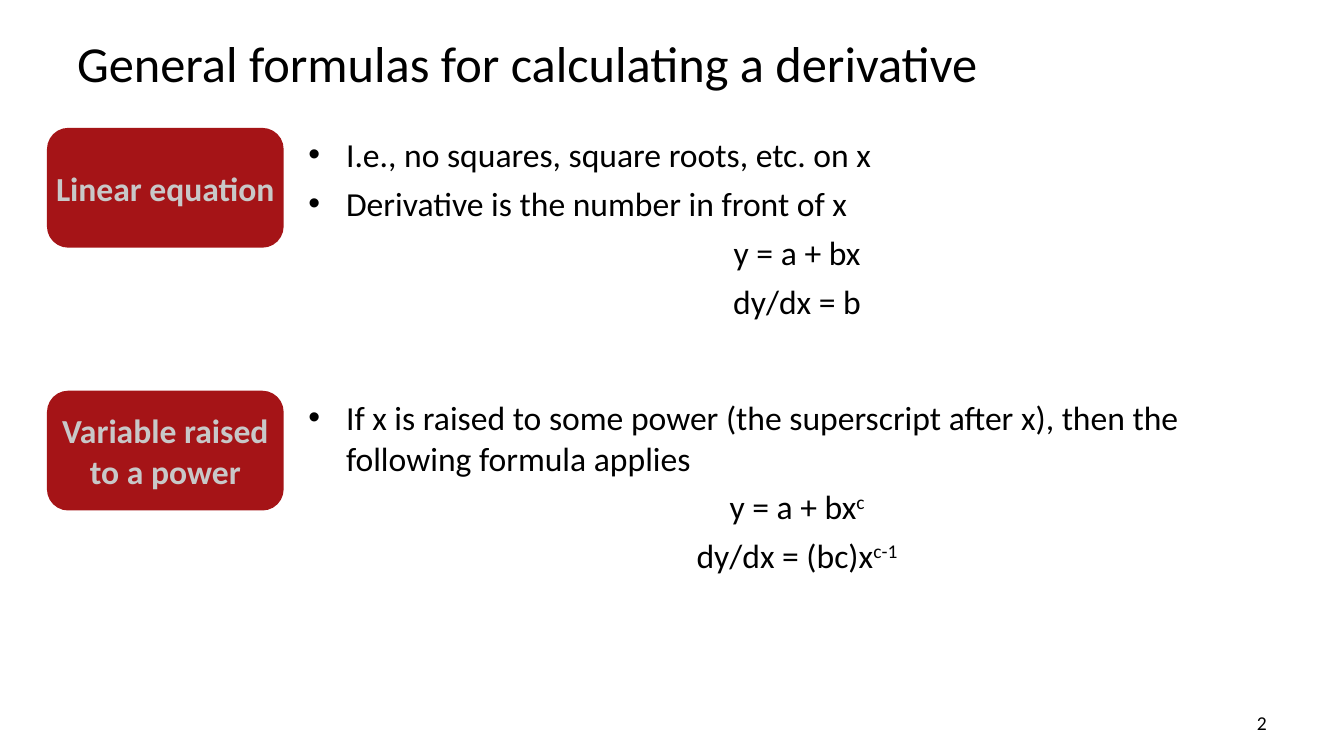
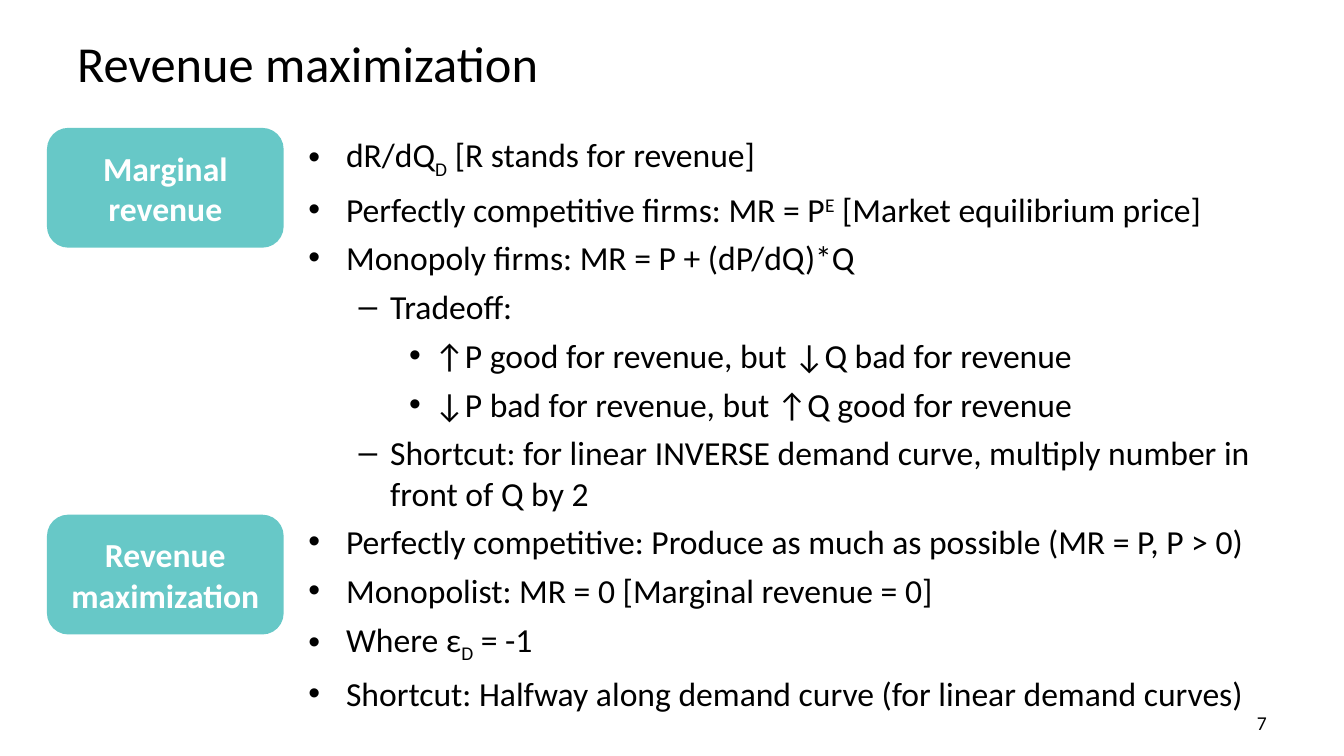
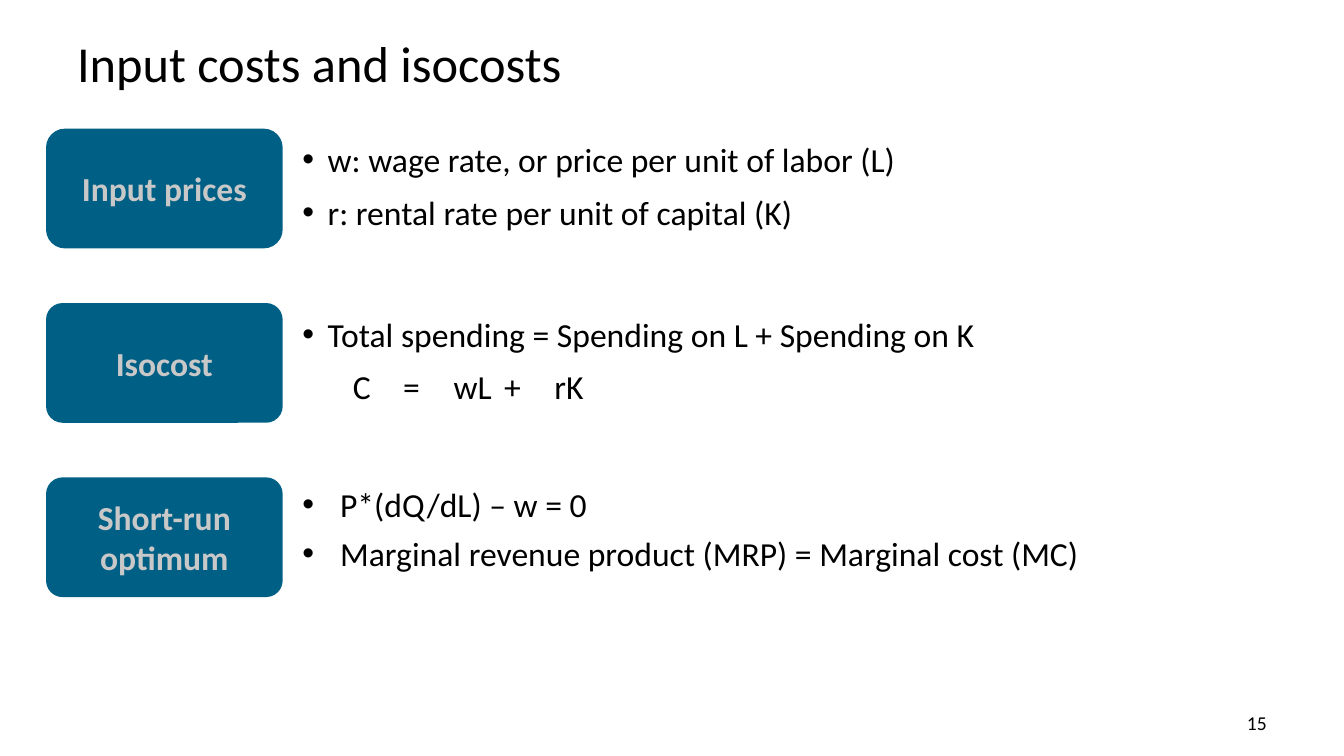
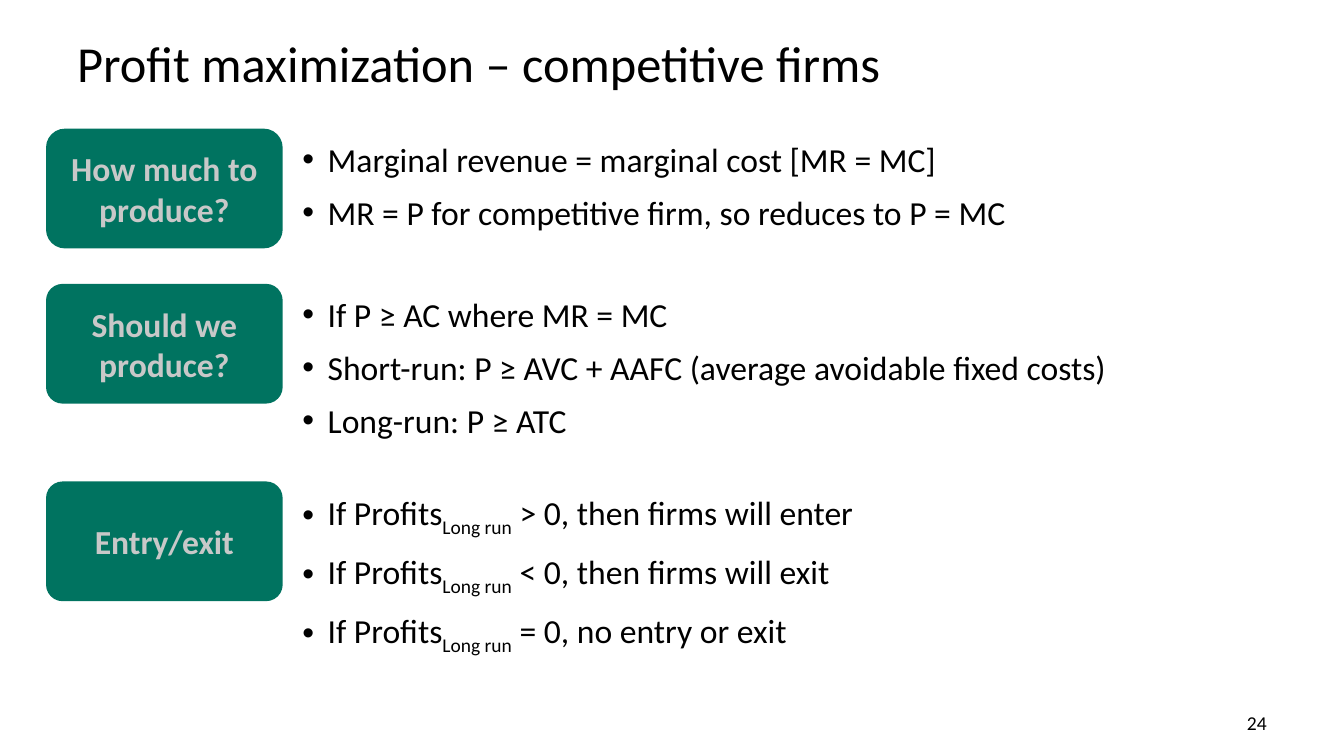
from dataclasses import dataclass

from lxml.etree import SubElement
from pptx import Presentation
from pptx.dml.color import RGBColor
from pptx.enum.shapes import MSO_SHAPE as Shape
from pptx.enum.text import MSO_ANCHOR as Anchor, PP_ALIGN as Align
from pptx.oxml.ns import qn
from pptx.util import Inches, Pt

WIDTH, HEIGHT = Inches(13.33), Inches(7.5)
FONT = "Calibri"
BLACK = RGBColor(0x00, 0x00, 0x00)
WHITE = RGBColor(0xFF, 0xFF, 0xFF)
SILVER = RGBColor(0xC8, 0xC8, 0xC8)
RED = RGBColor(0xA5, 0x14, 0x17)
AQUA = RGBColor(0x67, 0xC8, 0xC7)
BLUE = RGBColor(0x00, 0x5F, 0x85)
GREEN = RGBColor(0x00, 0x73, 0x60)

TITLE_BOX = (5, 3.47, 90, 9.47)
NUMBER_BOX = (71.7, 93.33, 23.3, 4.53)
TAG_WIDTH, TAG_HEIGHT = 17.4, 15.47
EQUATION_TABS = (10.3, 21.2, 26.4, 37.9, 44.8)


@dataclass(frozen=True)
class Style:
    """Paragraph look; indents are in columns."""
    margin: float = 0
    hanging: float = 0
    bullet: str = ""
    level: int = 0
    spacing: float = 1
    align: Align = Align.LEFT
    tabs: tuple = ()


@dataclass(frozen=True)
class Frame:
    """Left edge, text offset and text width of the sections, in columns."""
    left: float
    text_offset: float
    text_width: float


@dataclass(frozen=True)
class Section:
    """A coloured tag with the text beside it; top and height are in rows."""
    top: float
    height: float
    tag: str
    lines: tuple
    corner: float = 0.17


BULLET = Style(2.81, 2.81, "•")
DASH = Style(6.09, 2.34, "–", 1)
SUB_BULLET = Style(9.38, 1.88, "•", 2)
LOOSE_BULLET = Style(1.88, 1.88, "•", spacing=1.1)
FORMULA = Style(align=Align.CENTER)
EQUATION = Style(spacing=1.1, tabs=EQUATION_TABS)

WIDE = Frame(3.6, 18.6, 74.2)
SNUG = Frame(3.53, 18.23, 74.4)


def columns(count):
    """Return the width of a number of hundredths of the slide."""
    return round(WIDTH * count / 100)


def rows(count):
    """Return the height of a number of hundredths of the slide."""
    return round(HEIGHT * count / 100)


def place(box):
    """Turn a grid box into left, top, width and height."""
    left, top, width, height = box
    return columns(left), rows(top), columns(width), rows(height)


def sup(text):
    """Mark raised text."""
    return text, 30000


def sub(text):
    """Mark lowered text."""
    return text, -25000


def set_font(para, size, colour, bold=False):
    """Set the font of a whole paragraph."""
    font = para.font
    font.name, font.size, font.bold = FONT, Pt(size), bold
    font.color.rgb = colour


def add_text(page, box):
    """Add a wrapping text box and return its text frame."""
    frame = page.shapes.add_textbox(*place(box)).text_frame
    frame.word_wrap = True
    return frame


def apply_style(para, style):
    """Set indents, bullet, tabs and spacing of a paragraph."""
    para.level, para.alignment = style.level, style.align
    para.line_spacing, para.space_after = style.spacing, Pt(6)
    props = para._p.get_or_add_pPr()
    props.set("marL", str(columns(style.margin)))
    props.set("indent", str(-columns(style.hanging)))
    if style.bullet:
        SubElement(props, qn("a:buFont"), typeface="Arial")
        SubElement(props, qn("a:buChar"), char=style.bullet)
    if style.tabs:
        stops = SubElement(props, qn("a:tabLst"))
        for stop in style.tabs:
            SubElement(stops, qn("a:tab"), pos=str(columns(stop)), algn="l")


def add_lines(page, box, lines):
    """Write styled lines, each a style followed by its pieces of text."""
    frame = add_text(page, box)
    for index, (style, *pieces) in enumerate(lines):
        para = frame.add_paragraph() if index else frame.paragraphs[0]
        apply_style(para, style)
        set_font(para, 24, BLACK)
        for piece in pieces:
            text, baseline = (piece, 0) if isinstance(piece, str) else piece
            span = para.add_run()
            span.text = text
            if baseline:
                span._r.get_or_add_rPr().set("baseline", str(baseline))


def add_tag(page, box, text, corner, fill, ink):
    """Add a rounded label."""
    tag = page.shapes.add_shape(Shape.ROUNDED_RECTANGLE, *place(box))
    tag.adjustments[0] = corner
    tag.shadow.inherit = False
    tag.fill.solid()
    tag.fill.fore_color.rgb = fill
    tag.line.color.rgb = fill
    tag.line.width = Pt(2)
    frame = tag.text_frame
    frame.word_wrap = True
    frame.margin_left = frame.margin_right = 0
    frame.vertical_anchor = Anchor.MIDDLE
    para = frame.paragraphs[0]
    para.text, para.alignment = text, Align.CENTER
    set_font(para, 24, ink, True)


def add_page(deck, title, number, frame, fill, ink, sections):
    """Add a slide with title, number and tagged sections."""
    page = deck.slides.add_slide(deck.slide_layouts[6])
    heading = add_text(page, TITLE_BOX)
    heading.vertical_anchor = Anchor.MIDDLE
    heading.text = title
    set_font(heading.paragraphs[0], 36, BLACK)
    for section in sections:
        tag_box = (frame.left, section.top, TAG_WIDTH, TAG_HEIGHT)
        add_tag(page, tag_box, section.tag, section.corner, fill, ink)
        text_box = (frame.left + frame.text_offset, section.top,
                    frame.text_width, section.height)
        add_lines(page, text_box, section.lines)
    footer = add_text(page, NUMBER_BOX)
    footer.text = str(number)
    footer.paragraphs[0].alignment = Align.RIGHT
    set_font(footer.paragraphs[0], 14, BLACK)


DERIVATIVES = (
    Section(17.1, 26.3, "Linear equation", (
        (BULLET, "I.e., no squares, square roots, etc. on x"),
        (BULLET, "Derivative is the number in front of x"),
        (FORMULA, "y = a + bx"),
        (FORMULA, "dy/dx = b"),
    )),
    Section(51.87, 25, "Variable raised to a power", (
        (BULLET, "If x is raised to some power (the superscript after x), "
                 "then the following formula applies"),
        (FORMULA, "y = a + bx", sup("c")),
        (FORMULA, "dy/dx = (bc)x", sup("c-1")),
    )),
)

REVENUE = (
    Section(17.1, 51.2, "Marginal revenue", (
        (BULLET, "dR/dQ", sub("D"), " [R stands for revenue]"),
        (BULLET, "Perfectly competitive firms: MR = P", sup("E"),
         " [Market equilibrium price]"),
        (BULLET, "Monopoly firms: MR = P + (dP/dQ)*Q"),
        (DASH, "Tradeoff:"),
        (SUB_BULLET, "↑P good for revenue, but ↓Q bad for revenue"),
        (SUB_BULLET, "↓P bad for revenue, but ↑Q good for revenue"),
        (DASH, "Shortcut: for linear INVERSE demand curve, "
               "multiply number in front of Q by 2"),
    )),
    Section(68.27, 26.3, "Revenue maximization", (
        (BULLET, "Perfectly competitive: Produce as much as possible "
                 "(MR = P, P > 0)"),
        (BULLET, "Monopolist: MR = 0 [Marginal revenue = 0]"),
        (BULLET, "Where ε", sub("D"), " = -1"),
        (BULLET, "Shortcut: Halfway along demand curve "
                 "(for linear demand curves)"),
    )),
)

ISOCOSTS = (
    Section(17.2, 14.2, "Input prices", (
        (LOOSE_BULLET, "w: wage rate, or price per unit of labor (L)"),
        (LOOSE_BULLET, "r: rental rate per unit of capital (K)"),
    ), 0.15),
    Section(40.27, 14, "Isocost", (
        (LOOSE_BULLET, "Total spending = Spending on L + Spending on K"),
        (EQUATION, "\tC\t=\twL\t+\trK"),
    ), 0.13),
    Section(63.33, 13.2, "Short-run optimum", (
        (BULLET, "P*(dQ/dL) – w = 0"),
        (BULLET, "Marginal revenue product (MRP) = Marginal cost (MC)"),
    ), 0.13),
)

PROFIT_OUTCOMES = ("> 0, then firms will enter", "< 0, then firms will exit",
                   "= 0, no entry or exit")

PROFIT = (
    Section(17.2, 14, "How much to produce?", (
        (LOOSE_BULLET, "Marginal revenue = marginal cost [MR = MC]"),
        (LOOSE_BULLET, "MR = P for competitive firm, so reduces to P = MC"),
    ), 0.15),
    Section(37.73, 21.1, "Should we produce?", (
        (LOOSE_BULLET, "If P ≥ AC where MR = MC"),
        (LOOSE_BULLET, "Short-run: P ≥ AVC + AAFC "
                       "(average avoidable fixed costs)"),
        (LOOSE_BULLET, "Long-run: P ≥ ATC"),
    ), 0.13),
    Section(63.87, 21.1, "Entry/exit", tuple(
        (LOOSE_BULLET, "If Profits", sub("Long run"), f" {outcome}")
        for outcome in PROFIT_OUTCOMES
    ), 0.13),
)

PAGES = (
    ("General formulas for calculating a derivative", 2,
     WIDE, RED, SILVER, DERIVATIVES),
    ("Revenue maximization", 7, WIDE, AQUA, WHITE, REVENUE),
    ("Input costs and isocosts", 15, SNUG, BLUE, SILVER, ISOCOSTS),
    ("Profit maximization – competitive firms", 24,
     SNUG, GREEN, SILVER, PROFIT),
)


def main():
    """Build and save the deck."""
    deck = Presentation()
    deck.slide_width, deck.slide_height = WIDTH, HEIGHT
    for content in PAGES:
        add_page(deck, *content)
    deck.save("out.pptx")


if __name__ == "__main__":
    main()
